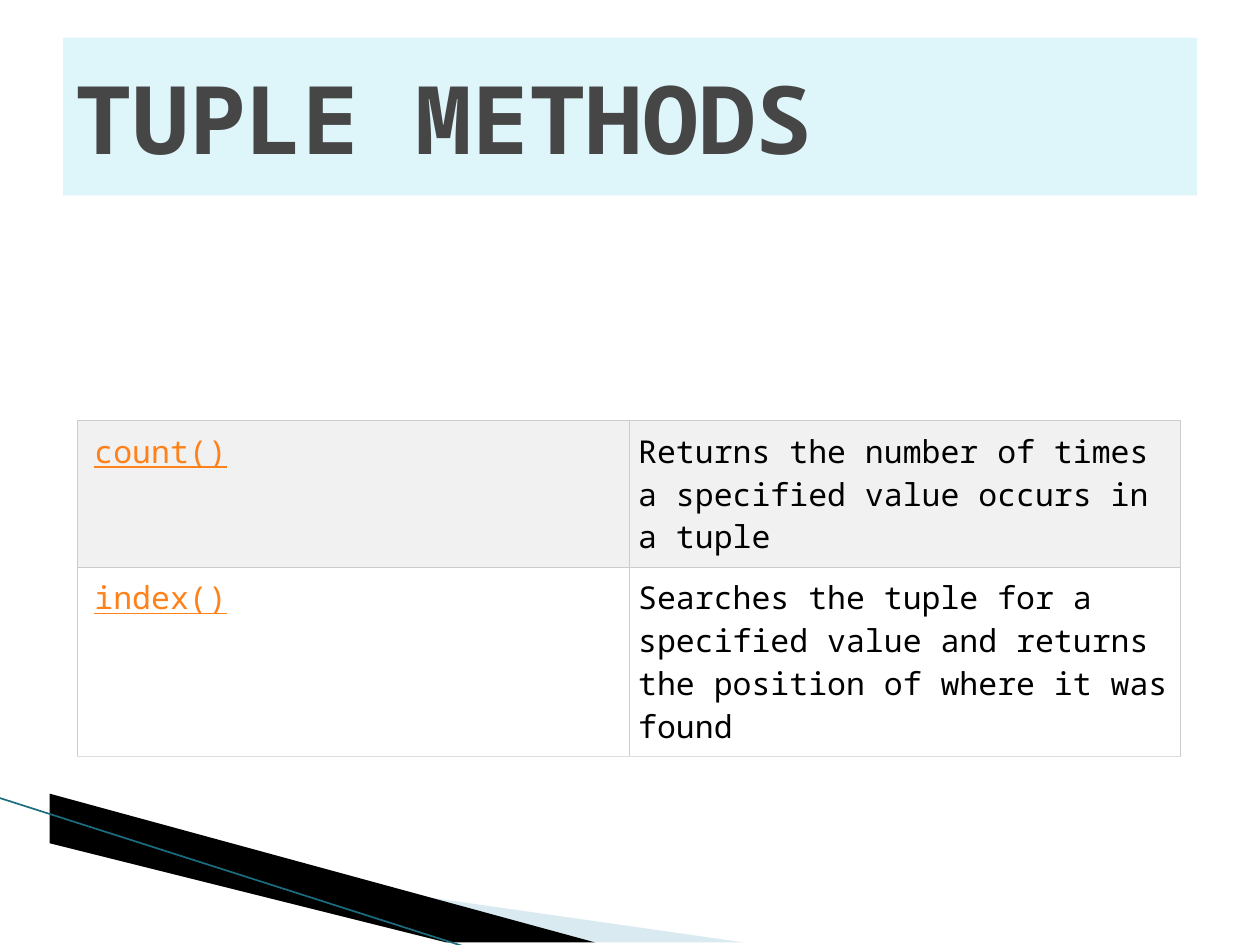
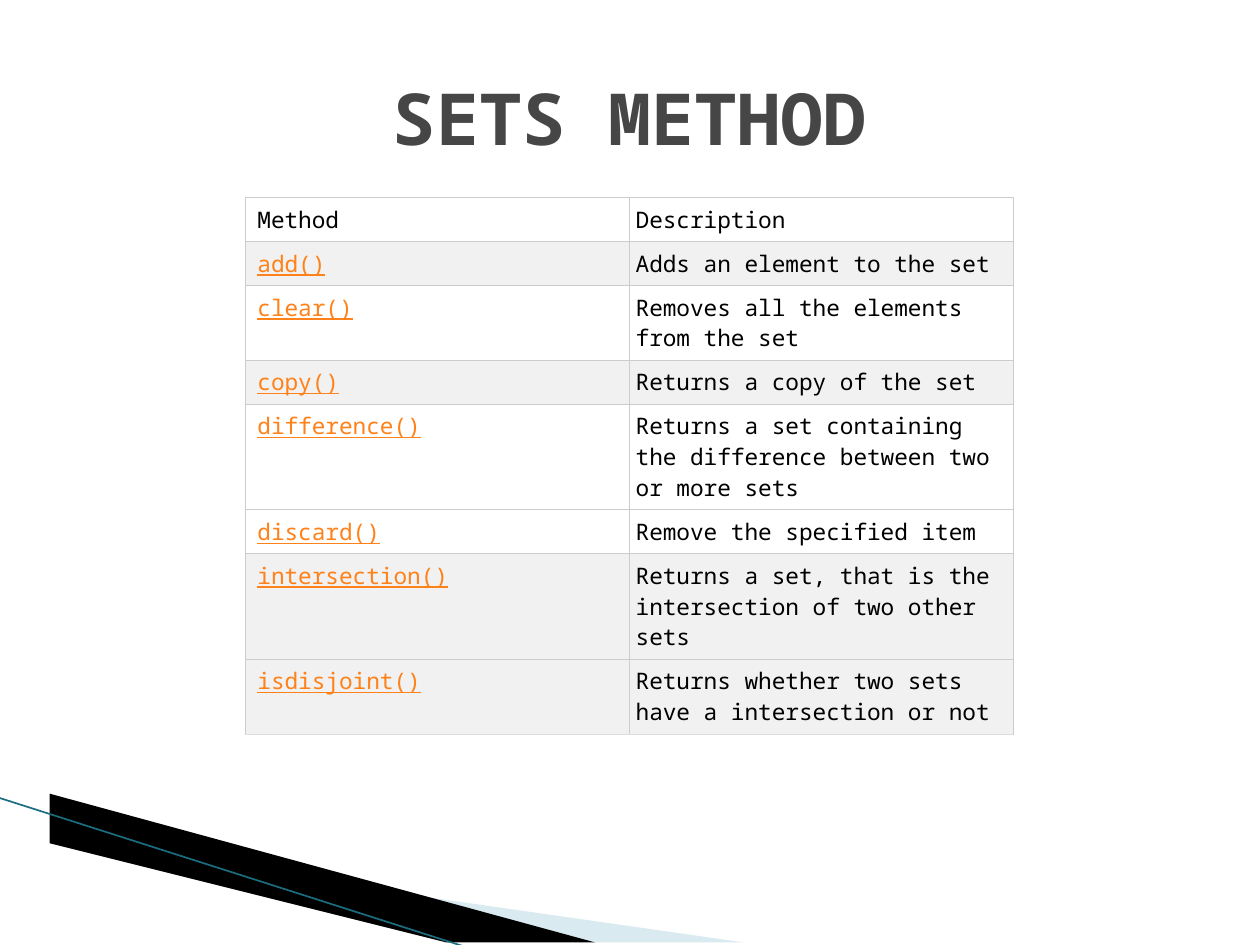
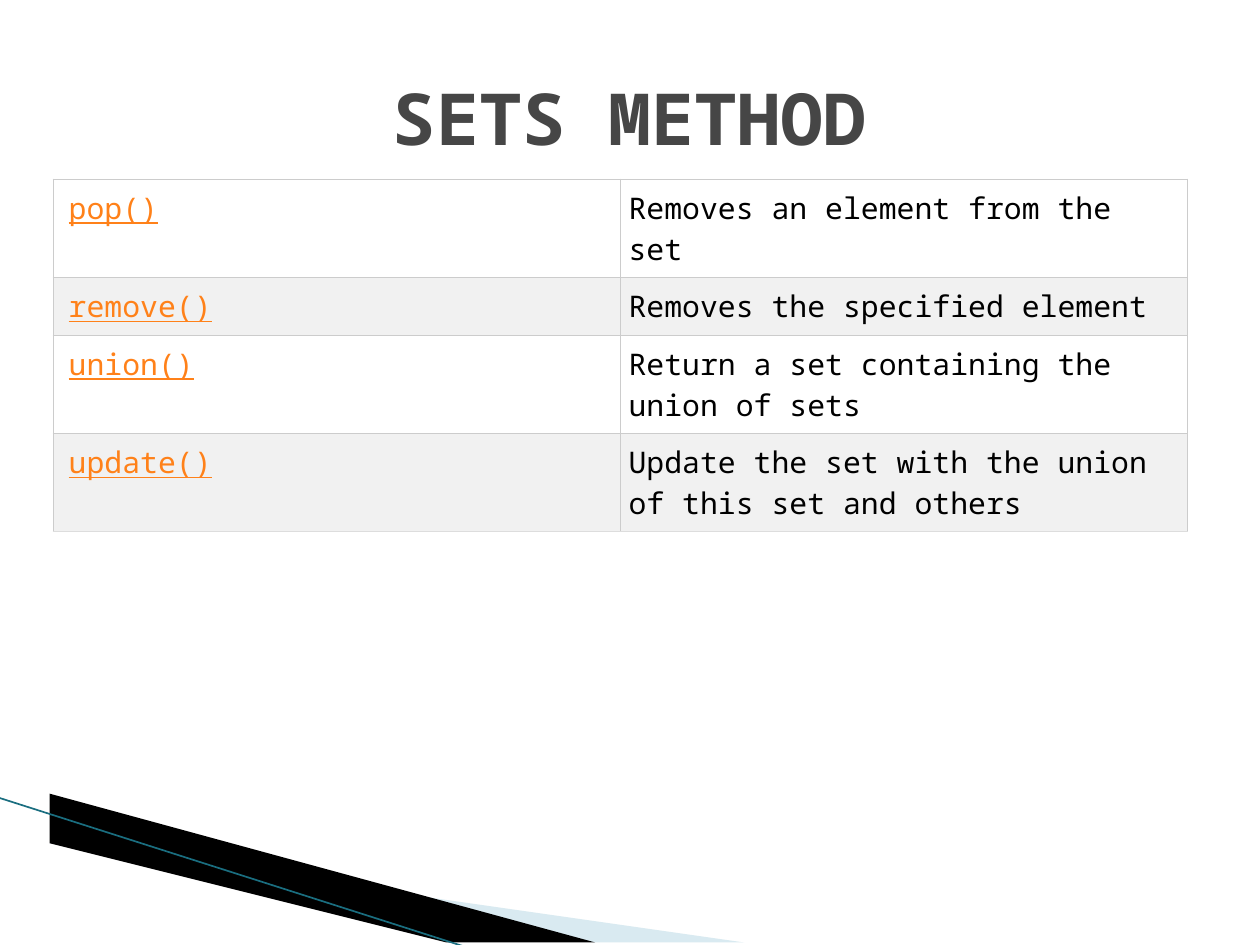
from lxml import etree
from pptx import Presentation
from pptx.dml.color import RGBColor
from pptx.enum.shapes import MSO_CONNECTOR
from pptx.enum.text import MSO_ANCHOR, MSO_AUTO_SIZE, PP_ALIGN
from pptx.oxml.ns import qn
from pptx.util import Cm, Pt

LEFT, CENTER = PP_ALIGN.LEFT, PP_ALIGN.CENTER
MIDDLE, TOP = MSO_ANCHOR.MIDDLE, MSO_ANCHOR.TOP
NO_AUTOFIT = MSO_AUTO_SIZE.NONE
STRAIGHT = MSO_CONNECTOR.STRAIGHT
TITLE_ONLY = 5

FONT = "Noto Sans Mono"
LINE_HEIGHT = 1.36
COLORS = {
    "title": "464646",
    "title band": "DEF5FA",
    "text": "000000",
    "method": "FF8119",
    "plain row": "FFFFFF",
    "shaded row": "F1F1F1",
    "border": "CCCCCC",
    "last border": "DDDDDD",
    "light wedge": "A0CBDC",
    "dark wedge": "000000",
    "edge": "1A6E80",
}

# Each row: method, description, lines of text, shaded
TUPLE_METHODS = [
    ("count()", "Returns the number of times a specified value occurs in a tuple", 3, True),
    ("index()", "Searches the tuple for a specified value and returns "
                "the position of where it was found", 4, False),
]
SET_METHODS = [
    ("Method", "Description", 1, False),
    ("add()", "Adds an element to the set", 1, True),
    ("clear()", "Removes all the elements from the set", 2, False),
    ("copy()", "Returns a copy of the set", 1, True),
    ("difference()", "Returns a set containing the difference between two or more sets", 3, False),
    ("discard()", "Remove the specified item", 1, False),
    ("intersection()", "Returns a set, that is the intersection of two other sets", 3, True),
    ("isdisjoint()", "Returns whether two sets have a intersection or not", 2, True),
]
MORE_SET_METHODS = [
    ("pop()", "Removes an element from the set", 2, False),
    ("remove()", "Removes the specified element", 1, True),
    ("union()", "Return a set containing the union of sets", 2, False),
    ("update()", "Update the set with the union of this set and others", 2, True),
]


def color(name):
    return RGBColor.from_string(COLORS[name])


class MethodDeck:
    def __init__(self):
        self.deck = Presentation()
        self.deck.slide_width, self.deck.slide_height = Cm(25.4), Cm(19.05)
        self.layout = self.deck.slide_layouts[TITLE_ONLY]
        self.page = None

    def add_page(self):
        self.page = self.deck.slides.add_slide(self.layout)
        if len(self.deck.slides) == 1:
            self.decorate_layout()

    def decorate_layout(self):
        """Draw the corner wedges and move them to the shared layout."""
        corner = [
            self.wedge("light wedge", [(1.4, 16.54), (15.11, 19.08), (11.58, 19.08), (1.4, 16.51)], 40),
            self.wedge("dark wedge", [(1.35, 16.48), (11.61, 19.08), (9.45, 19.1), (1.37, 16.51)]),
            self.line("edge", (-0.03, 16.08), (9.42, 19.1), 0.95),
        ]
        for shape in corner:
            self.layout.element.cSld.spTree.append(shape.element)

    def wedge(self, fill, points, opacity=100):
        builder = self.page.shapes.build_freeform(*points[0], scale=Cm(1))
        builder.add_line_segments(points[1:], close=True)
        shape = builder.convert_to_shape()
        shape.shadow.inherit = False
        shape.fill.solid()
        shape.fill.fore_color.rgb = color(fill)
        shape.line.fill.background()
        if opacity < 100:
            fill_color = shape.element.spPr.find(qn("a:solidFill"))[0]
            etree.SubElement(fill_color, qn("a:alpha"), val=str(opacity * 1000))
        return shape

    def line(self, stroke, start, end, width):
        connector = self.page.shapes.add_connector(
            STRAIGHT, *(Cm(value) for value in (*start, *end)))
        connector.line.color.rgb = color(stroke)
        connector.line.width = Pt(width)
        etree.SubElement(connector.element.spPr, qn("a:effectLst"))
        return connector

    def set_text(self, frame, text, size, text_color, align=LEFT, bold=False, underline=False):
        frame.text = text
        para = frame.paragraphs[0]
        para.alignment = align
        font = para.font
        font.name, font.size = FONT, Pt(size)
        font.bold, font.underline = bold, underline
        font.color.rgb = color(text_color)

    def title(self, text, size, align=CENTER, band=None):
        box = self.page.shapes.title
        box.left, box.top, box.width, box.height = Cm(1.27), Cm(0.76), Cm(22.86), Cm(3.18)
        if band:
            box.fill.solid()
            box.fill.fore_color.rgb = color(band)
        frame = box.text_frame
        frame.auto_size = NO_AUTOFIT
        frame.vertical_anchor = MIDDLE
        self.set_text(frame, text, size, "title", align, bold=True)

    def method_table(self, rows, left, top, width, size, inset):
        """Add a two-column table whose row heights follow the lines of text."""
        heights = [Pt(lines * size * LINE_HEIGHT) + 2 * Cm(inset) for _, _, lines, _ in rows]
        table = self.page.shapes.add_table(
            len(rows), 2, Cm(left), Cm(top), Cm(width), sum(heights)).table
        table.first_row = table.horz_banding = False
        for index, (method, description, _, shaded) in enumerate(rows):
            table.rows[index].height = heights[index]
            is_method = method.endswith("()")
            bottom = "last border" if index == len(rows) - 1 else "border"
            for column, text in enumerate((method, description)):
                cell = table.cell(index, column)
                cell.margin_left = Cm(inset * (1 if column else 1.85))
                cell.margin_right = cell.margin_top = cell.margin_bottom = Cm(inset)
                cell.vertical_anchor = TOP
                linked = is_method and column == 0
                self.set_text(cell.text_frame, text, size,
                              "method" if linked else "text", underline=linked)
                self.borders(cell, bottom)
                cell.fill.solid()
                cell.fill.fore_color.rgb = color("shaded row" if shaded else "plain row")

    def borders(self, cell, bottom):
        properties = cell._tc.get_or_add_tcPr()
        for side in "LRTB":
            border = etree.SubElement(properties, qn(f"a:ln{side}"), w=str(Pt(0.6)))
            fill = etree.SubElement(border, qn("a:solidFill"))
            stroke = bottom if side == "B" else "border"
            etree.SubElement(fill, qn("a:srgbClr"), val=COLORS[stroke])


def main():
    slides = MethodDeck()

    slides.add_page()
    slides.method_table(TUPLE_METHODS, 1.57, 8.48, 22.23, size=18, inset=0.18)
    slides.title("TUPLE METHODS", 54, LEFT, "title band")

    slides.add_page()
    slides.method_table(SET_METHODS, 4.95, 3.99, 15.47, size=13, inset=0.13)
    slides.title("SETS METHOD", 41)

    slides.add_page()
    slides.method_table(MORE_SET_METHODS, 1.07, 3.61, 22.86, size=17, inset=0.17)
    slides.title("SETS METHOD", 41)

    slides.deck.save("out.pptx")


if __name__ == "__main__":
    main()
